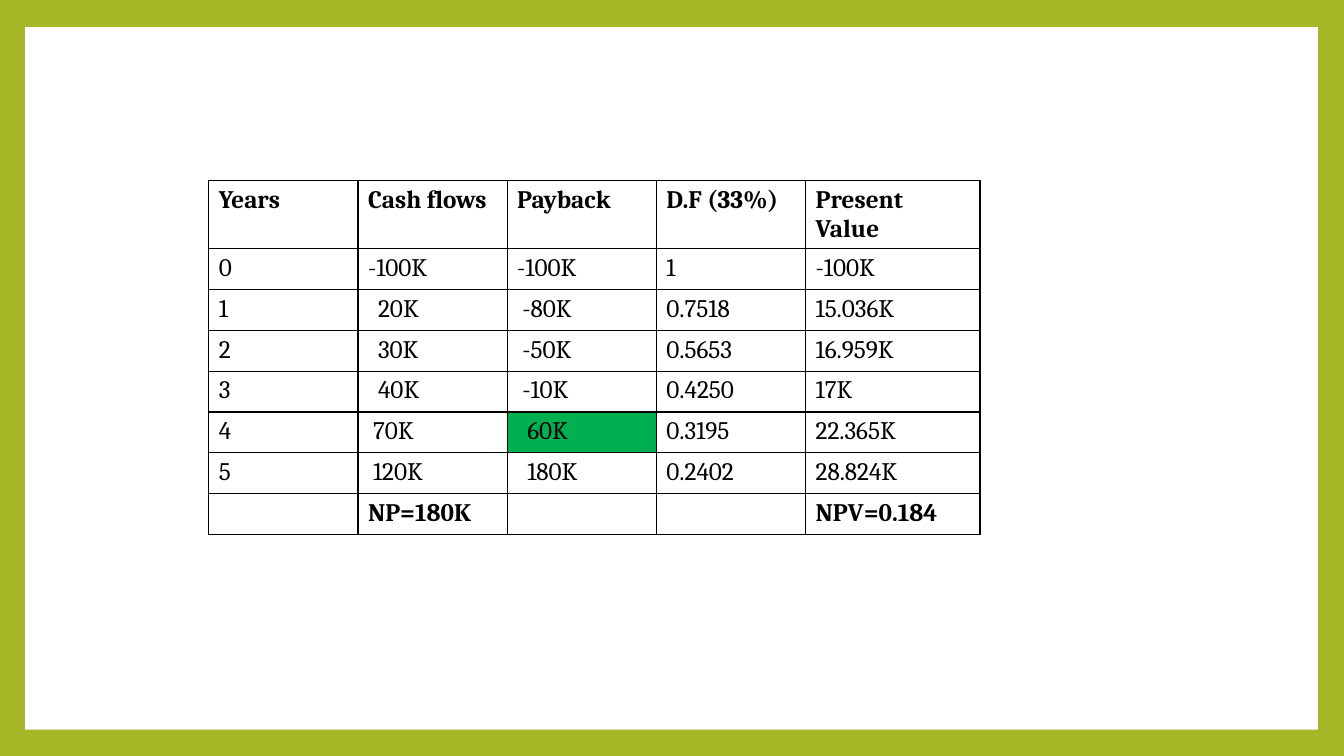
from lxml import etree
from pptx import Presentation
from pptx.dml.color import RGBColor
from pptx.enum.shapes import MSO_SHAPE
from pptx.oxml.ns import qn
from pptx.util import Inches, Pt

RECT = MSO_SHAPE.RECTANGLE

HEADER = ["Years", "Cash flows", "Payback", "D.F (33%)", "Present Value"]
YEARS = [
    ["0", "-100K", "-100K", "1", "-100K"],
    ["1", "20K", "-80K", "0.7518", "15.036K"],
    ["2", "30K", "-50K", "0.5653", "16.959K"],
    ["3", "40K", "-10K", "0.4250", "17K"],
    ["4", "70K", "60K", "0.3195", "22.365K"],
    ["5", "120K", "180K", "0.2402", "28.824K"],
]
TOTALS = ["", "NP=180K", "", "", "NPV=0.184"]
ROWS = [HEADER, *YEARS, TOTALS]
BOLD_ROWS = (0, len(ROWS) - 1)
PAYBACK_CELL = (5, 2)

# Indent steps per row in the two columns whose figures are nudged right
INDENTS = {1: [0, 0, 2, 2, 2, 1, 1, 0], 2: [0, 0, 1, 1, 1, 2, 2, 0]}
INDENT_STEP = 0.05
CELL_MARGIN = 0.1

COL_WIDTHS = [1.48] * 4 + [1.73]
TABLE_LEFT, TABLE_TOP, TABLE_HEIGHT = 2.07, 1.79, 3.24
PANEL = (0.25, 0.27, 12.82, 6.97)

THEME = {
    "frame": RGBColor.from_string("A6B727"),
    "panel": RGBColor.from_string("FFFFFF"),
    "text": RGBColor.from_string("000000"),
    "payback": RGBColor.from_string("00B050"),
    "border": "000000",
    "border_width": Pt(1),
    "font": "Cambria",
    "size": Pt(18),
}


def add_borders(cell):
    """Draw all four edges; line elements must precede the cell fill."""
    props = cell._tc.get_or_add_tcPr()
    for i, edge in enumerate(("a:lnL", "a:lnR", "a:lnT", "a:lnB")):
        line = etree.Element(qn(edge), w=str(THEME["border_width"]))
        fill = etree.SubElement(line, qn("a:solidFill"))
        etree.SubElement(fill, qn("a:srgbClr"), val=THEME["border"])
        props.insert(i, line)


def add_panel(s):
    panel = s.shapes.add_shape(RECT, *map(Inches, PANEL))
    panel.shadow.inherit = False
    panel.fill.solid()
    panel.fill.fore_color.rgb = THEME["panel"]
    panel.line.fill.background()


def fill_cell(cell, text, row, col):
    if (row, col) == PAYBACK_CELL:
        cell.fill.solid()
        cell.fill.fore_color.rgb = THEME["payback"]
    else:
        cell.fill.background()
    add_borders(cell)
    steps = INDENTS[col][row] if col in INDENTS else 0
    cell.margin_left = Inches(CELL_MARGIN + steps * INDENT_STEP)
    if text:
        r = cell.text_frame.paragraphs[0].add_run()
        r.text = text
        style = {"name": THEME["font"], "size": THEME["size"], "bold": row in BOLD_ROWS}
        for name, value in style.items():
            setattr(r.font, name, value)
        r.font.color.rgb = THEME["text"]


def add_cash_flow_table(s):
    table = s.shapes.add_table(
        len(ROWS), len(COL_WIDTHS), Inches(TABLE_LEFT), Inches(TABLE_TOP),
        Inches(sum(COL_WIDTHS)), Inches(TABLE_HEIGHT)).table
    table.first_row = table.horz_banding = False
    for column, width in zip(table.columns, COL_WIDTHS):
        column.width = Inches(width)
    for row, texts in enumerate(ROWS):
        for col, text in enumerate(texts):
            fill_cell(table.cell(row, col), text, row, col)


def main():
    prs = Presentation()
    prs.slide_width, prs.slide_height = Inches(13.33), Inches(7.5)
    s = prs.slides.add_slide(prs.slide_layouts[6])
    s.background.fill.solid()
    s.background.fill.fore_color.rgb = THEME["frame"]
    add_panel(s)
    add_cash_flow_table(s)
    prs.save("out.pptx")


if __name__ == "__main__":
    main()
